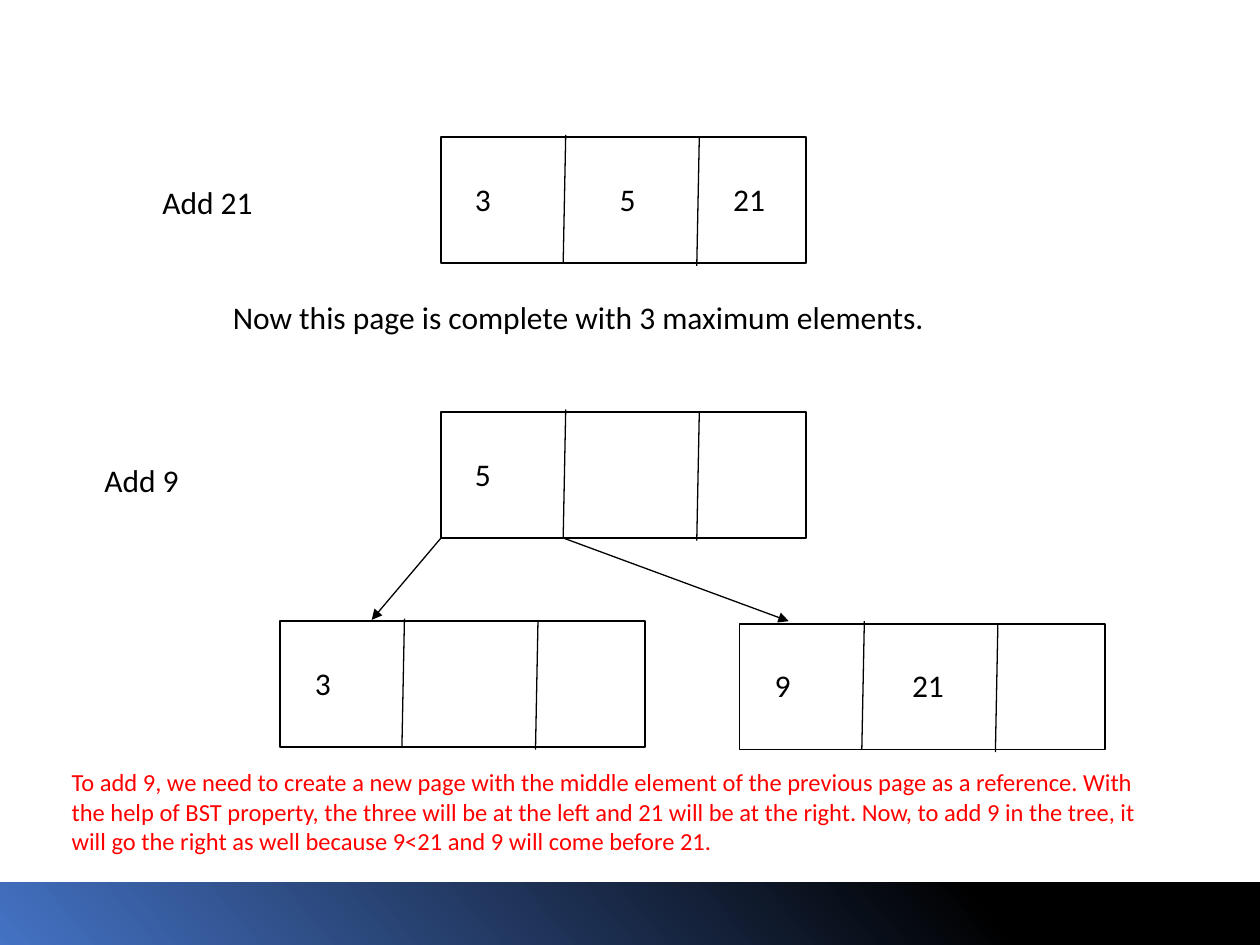
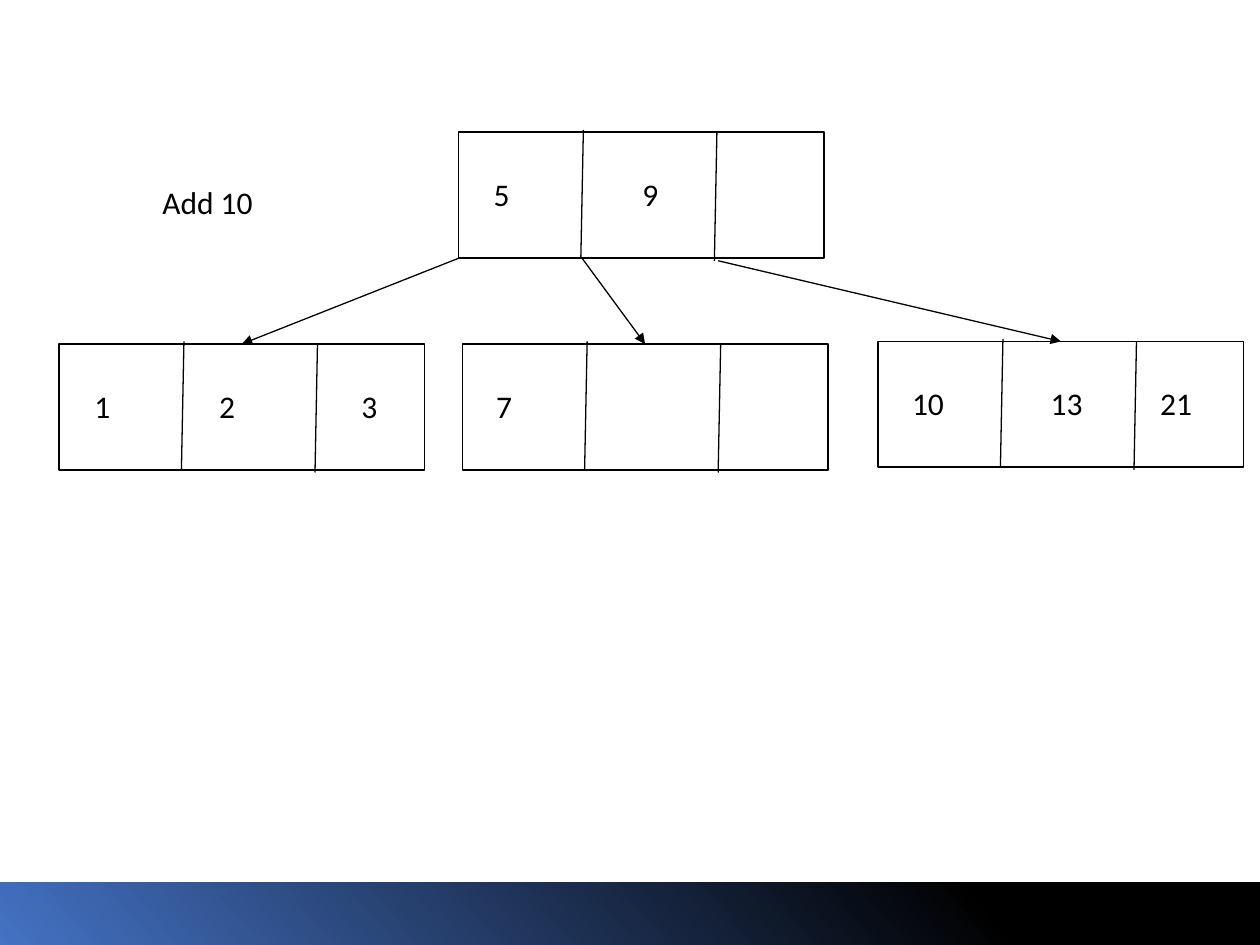
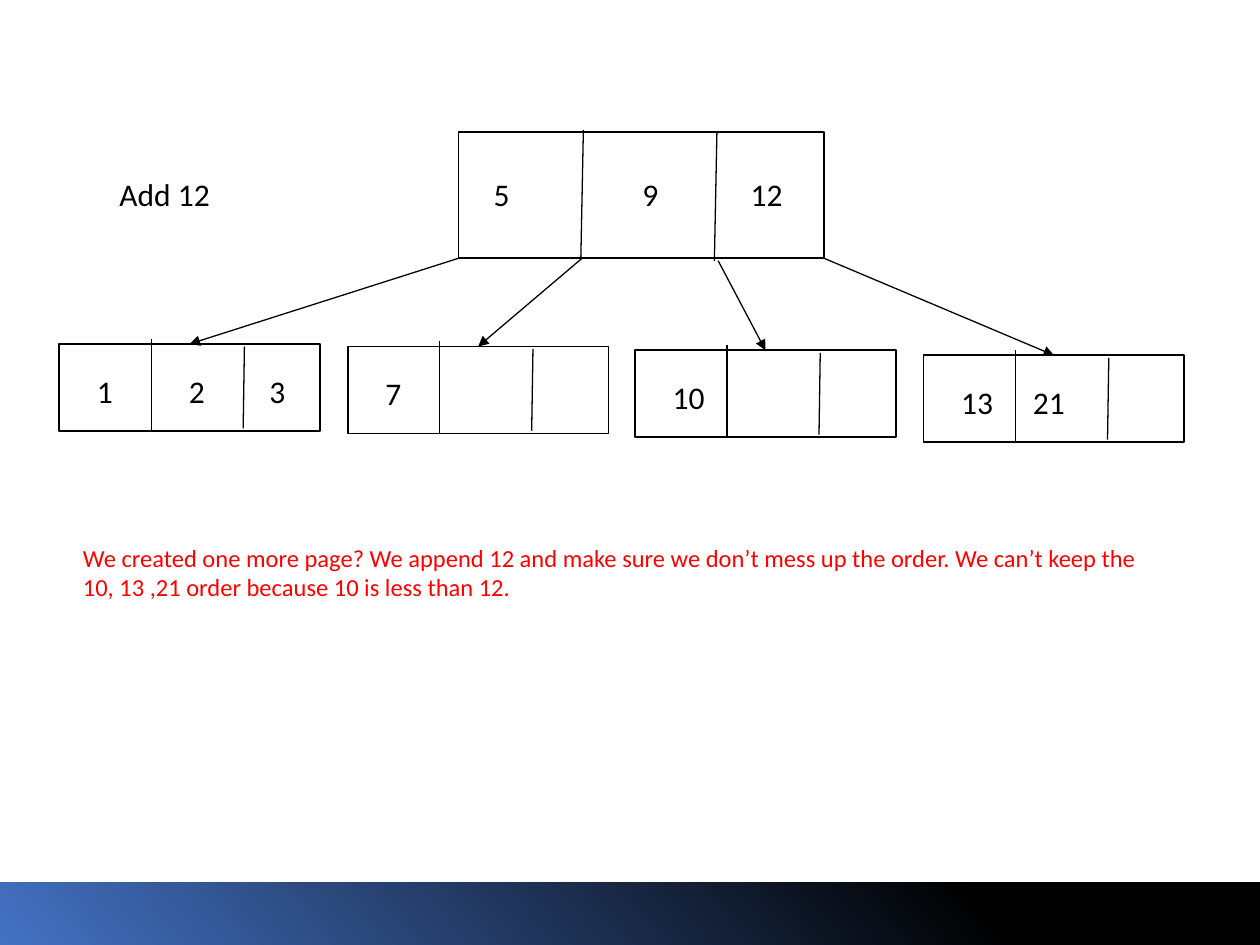
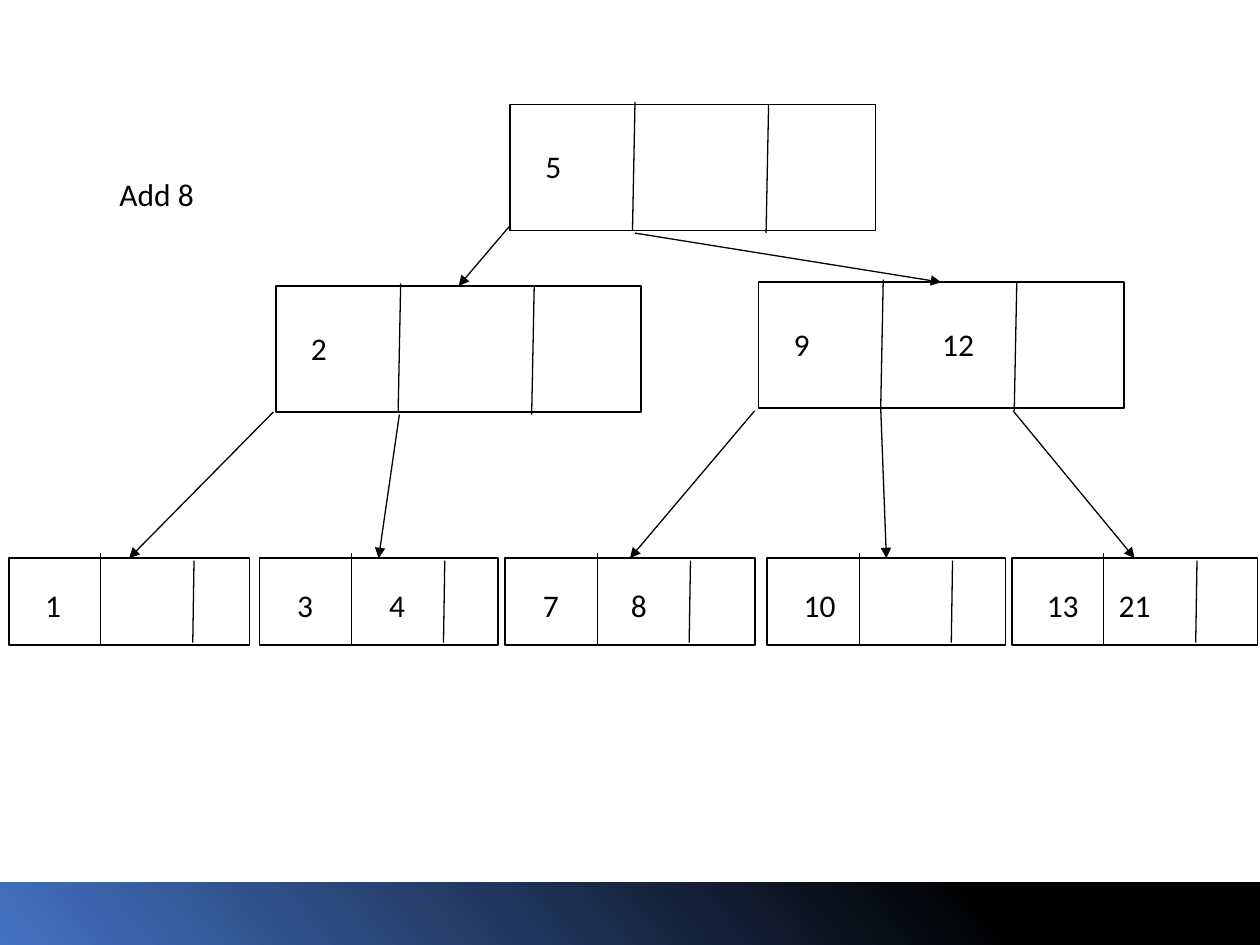
from dataclasses import dataclass

from lxml.etree import SubElement
from pptx import Presentation
from pptx.dml.color import RGBColor
from pptx.enum.shapes import MSO_CONNECTOR, MSO_SHAPE
from pptx.enum.text import MSO_AUTO_SIZE
from pptx.oxml.ns import qn
from pptx.util import Inches, Pt

BLACK = RGBColor(0x00, 0x00, 0x00)
WHITE = RGBColor(0xFF, 0xFF, 0xFF)
BLUE = RGBColor(0x44, 0x72, 0xC4)
RED = RGBColor(0xFF, 0x00, 0x00)
KEY_FORMAT = {"name": "Calibri", "size": Pt(18)}
NOTE_FORMAT = {"name": "Calibri", "size": Pt(14)}
BLANK_LAYOUT = 6
TOP_SIDE = 0


@dataclass(frozen=True)
class NodeSize:
    """Measures of a tree node, relative to its top left corner."""

    width: float
    height: float
    key_top: float
    dividers: tuple


LARGE = NodeSize(2.9, 1, 0.29, ((0.99, -0.02, 0.97, 1), (2.05, 0, 2.03, 1.02)))
SMALL = NodeSize(2.07, 0.69, 0.17, ((0.73, -0.04, 0.73, 0.69), (1.47, 0.02, 1.46, 0.67)))


def add_page(deck):
    """Add a blank page with the gradient band along its foot."""
    page = deck.slides.add_slide(deck.slide_layouts[BLANK_LAYOUT])
    band = page.shapes.add_shape(
        MSO_SHAPE.RECTANGLE, 0, Inches(7), Inches(10), Inches(0.5))
    band.shadow.inherit = False
    band.line.fill.background()
    band.fill.gradient()
    band.fill.gradient_angle = 320
    for stop, (position, color) in zip(band.fill.gradient_stops, ((0, BLUE), (0.78, BLACK))):
        stop.position = position
        stop.color.rgb = color
    band.rotation = 180
    band.element.spPr.find(qn("a:xfrm")).set("flipH", "1")
    return page


def add_text(page, text, left, top, width, height=0.4, wrap=True,
             style=KEY_FORMAT, color=BLACK):
    """Add a text box holding one formatted paragraph."""
    box = page.shapes.add_textbox(*map(Inches, (left, top, width, height)))
    frame = box.text_frame
    frame.word_wrap = wrap
    frame.auto_size = MSO_AUTO_SIZE.SHAPE_TO_FIT_TEXT
    span = frame.paragraphs[0].add_run()
    span.text = text
    for name, value in style.items():
        setattr(span.font, name, value)
    span.font.color.rgb = color


def add_label(page, text, left, top, width=1):
    """Add the unwrapped label that names the insertion step."""
    add_text(page, text, left, top, width, wrap=False)


def add_note(page, text, left, top, height):
    """Add a red explanation."""
    add_text(page, text, left, top, 8.84, height, style=NOTE_FORMAT, color=RED)


def add_line(page, start, end):
    """Add a thin black straight line without a shadow."""
    line = page.shapes.add_connector(
        MSO_CONNECTOR.STRAIGHT, *map(Inches, (*start, *end)))
    line.line.color.rgb = BLACK
    line.line.width = Pt(0.75)
    SubElement(line.element.spPr, qn("a:effectLst"))
    return line


def add_arrow(page, start, end=(0, 0), node=None):
    """Add an arrow to a point, or to the top middle of a node."""
    arrow = add_line(page, start, end)
    if node is not None:
        arrow.end_connect(node, TOP_SIDE)
    outline = arrow.element.spPr.find(qn("a:ln"))
    SubElement(outline, qn("a:tailEnd"), type="triangle")


def add_node(page, size, left, top, keys, width=None):
    """Add a three-cell node; keys maps each key to its left offset."""
    node = page.shapes.add_shape(
        MSO_SHAPE.RECTANGLE,
        *map(Inches, (left, top, width or size.width, size.height)))
    node.shadow.inherit = False
    node.fill.solid()
    node.fill.fore_color.rgb = WHITE
    node.line.color.rgb = BLACK
    node.line.width = Pt(1)
    for x1, y1, x2, y2 in size.dividers:
        add_line(page, (left + x1, top + y1), (left + x2, top + y2))
    for key, offset in keys.items():
        add_text(page, key, left + offset, top + size.key_top, 0.54)
    return node


def build_split_page(deck):
    """Show the full page and its split when 9 is added."""
    page = add_page(deck)
    add_node(page, LARGE, 3.5, 1.09, {"3": 0.17, "5": 1.32, "21": 2.22})
    add_node(page, LARGE, 3.5, 3.27, {"5": 0.17})
    add_node(page, LARGE, 2.22, 4.93, {"3": 0.18})
    add_node(page, LARGE, 5.87, 4.95, {"9": 0.18, "21": 1.27})
    add_arrow(page, (3.5, 4.27), (2.95, 4.92))
    add_arrow(page, (4.47, 4.27), (6.26, 4.93))
    add_label(page, "Add 21", 1.19, 1.4)
    add_label(page, "Add 9", 0.73, 3.61, 0.86)
    add_text(page, "Now this page is complete with 3 maximum elements.", 1.75, 2.32, 5.93)
    add_note(page, "To add 9, we need to create a new page with the middle element of the "
             "previous page as a reference. With the help of BST property, the three will be "
             "at the left and 21 will be at the right. Now, to add 9 in the tree, it will go "
             "the right as well because 9<21 and 9 will come before 21.", 0.47, 6.04, 0.81)


def build_three_children_page(deck):
    """Show the tree after 10 is added."""
    page = add_page(deck)
    add_node(page, LARGE, 3.64, 1.05, {"5": 0.18, "9": 1.36})
    children = (
        ((3.64, 2.05), 0.47, 2.73, {"1": 0.18, "2": 1.17, "3": 2.3}),
        ((4.62, 2.05), 3.67, 2.73, {"7": 0.17}),
        ((5.7, 2.07), 6.97, 2.71, {"10": 0.17, "13": 1.27, "21": 2.14}),
    )
    for start, left, top, keys in children:
        add_arrow(page, start, node=add_node(page, LARGE, left, top, keys))
    add_label(page, "Add 10", 1.19, 1.4)


def build_four_children_page(deck):
    """Show the tree after 12 is added."""
    page = add_page(deck)
    add_node(page, LARGE, 3.64, 1.05, {"5": 0.18, "9": 1.36, "12": 2.22})
    children = (
        ((3.64, 2.05), 0.47, 2.73, {"1": 0.2, "2": 0.93, "3": 1.57}),
        ((4.62, 2.05), 2.76, 2.75, {"7": 0.2}),
        ((5.7, 2.07), 5.04, 2.78, {"10": 0.2}),
        ((6.54, 2.05), 7.33, 2.82, {"13": 0.2, "21": 0.77}),
    )
    for start, left, top, keys in children:
        add_arrow(page, start, node=add_node(page, SMALL, left, top, keys))
    add_label(page, "Add 12", 0.85, 1.34)
    add_note(page, "We created one more page? We append 12 and make sure we don’t mess up "
             "the order. We can’t keep the 10, 13 ,21 order because 10 is less than 12.",
             0.56, 4.26, 0.57)


def build_three_level_page(deck):
    """Show the three-level tree after 8 is added."""
    page = add_page(deck)
    add_node(page, LARGE, 4.05, 0.83, {"5": 0.18})
    branches = (
        ((4.04, 1.8), 2.19, 2.27, {"2": 0.18}),
        ((5.04, 1.85), 6.02, 2.24, {"9": 0.18, "12": 1.36}),
    )
    for start, left, top, keys in branches:
        add_arrow(page, start, node=add_node(page, LARGE, left, top, keys))
    leaves = (
        ((2.17, 3.27), 0.07, 1.91, {"1": 0.19}),
        ((3.17, 3.29), 2.06, 1.89, {"3": 0.2, "4": 0.93}),
        ((5.99, 3.26), 4.01, 1.98, {"7": 0.2, "8": 0.9}),
        ((6.99, 3.24), 6.09, 1.89, {"10": 0.19}),
        ((8.04, 3.26), 8.03, 1.95, {"13": 0.18, "21": 0.75}),
    )
    for start, left, width, keys in leaves:
        add_arrow(page, start, node=add_node(page, SMALL, left, 4.43, keys, width))
    add_label(page, "Add 8", 0.85, 1.34, 0.86)


def main():
    """Build the deck and save it."""
    deck = Presentation()
    deck.slide_width = Inches(10)
    deck.slide_height = Inches(7.5)
    build_split_page(deck)
    build_three_children_page(deck)
    build_four_children_page(deck)
    build_three_level_page(deck)
    deck.save("out.pptx")


if __name__ == "__main__":
    main()
